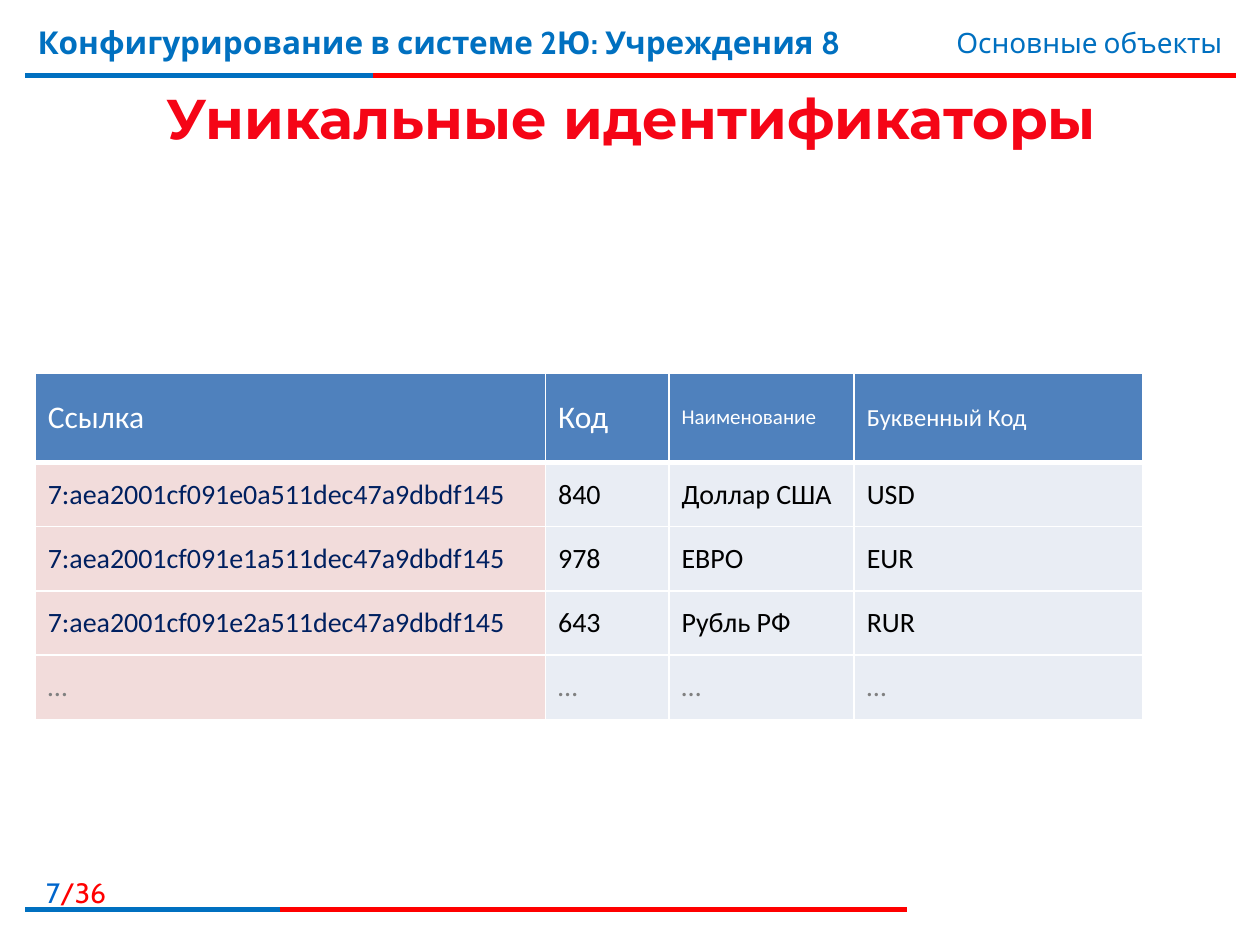
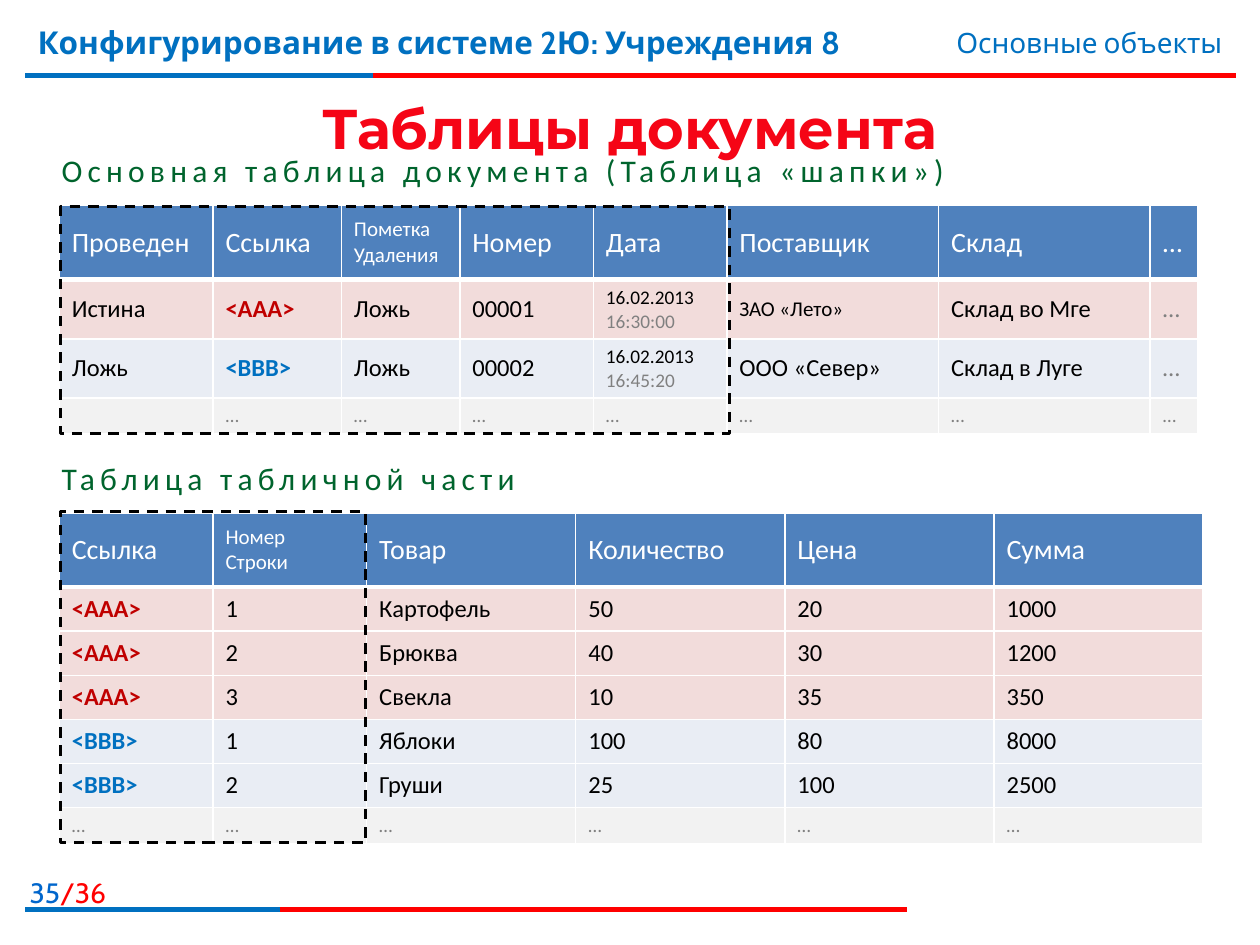
from dataclasses import dataclass

from lxml import etree
from pptx import Presentation
from pptx import util as u
from pptx.dml.color import RGBColor
from pptx.enum import dml, shapes, text
from pptx.oxml.ns import qn


@dataclass(frozen=True)
class Theme:
    """Colours, fonts and type sizes shared by the slides."""
    red: str = "FF0000"
    blue: str = "0070C0"
    number: str = "0066CC"
    title_top: str = "F50516"
    dark_red: str = "C00000"
    green: str = "00642D"
    navy: str = "002060"
    black: str = "000000"
    white: str = "FFFFFF"
    grey: str = "808080"
    header: str = "4F81BD"
    pink: str = "F2DCDB"
    pale_blue: str = "E9EDF4"
    pale_grey: str = "F2F2F2"
    band_font: str = "Cabin"
    title_font: str = "Montserrat"
    body_font: str = "Calibri"
    title: int = 32
    large: int = 18
    medium: int = 16
    normal: int = 14
    small: int = 12
    tiny: int = 11


THEME = Theme()
PAGE_COUNT = 36
ALIGN = text.PP_ALIGN


def inches(box):
    """Turn a box in inches into lengths."""
    return [u.Inches(value) for value in box]


def add_span(para, words, size, colour, name, bold=False):
    """Add one formatted run; a line feed becomes a line break."""
    for index, line in enumerate(words.split("\n")):
        if index:
            para.add_line_break()
        span = para.add_run()
        span.text = line
        look = {"size": u.Pt(size), "name": name, "bold": bold}
        for key, value in look.items():
            setattr(span.font, key, value)
        span.font.color.rgb = RGBColor.from_string(colour)
    return span


def add_text(page, box, spans, align=ALIGN.LEFT, **frame_look):
    """Add a one-paragraph text box and return its last run."""
    frame = page.shapes.add_textbox(*inches(box)).text_frame
    for key, value in {"word_wrap": True, **frame_look}.items():
        setattr(frame, key, value)
    para = frame.paragraphs[0]
    para.alignment = align
    for look in spans:
        span = add_span(para, *look)
    return span


def add_rule(page, left, top, width, blue_width):
    """Draw a red rule whose left part is blue."""
    for length, colour in ((width, THEME.red), (blue_width, THEME.blue)):
        line = page.shapes.add_connector(
            shapes.MSO_CONNECTOR.STRAIGHT,
            *inches((left, top, left + length, top)))
        line.line.color.rgb = RGBColor.from_string(colour)
        line.line.width = u.Pt(3)
        etree.SubElement(line._element.spPr, qn("a:effectLst"))


def add_bands(page, number):
    """Place the running header, page number and both rules."""
    add_rule(page, 0.2, 0.6, 9.61, 2.76)
    add_text(page, (-0.1, 6.9, 1.04, 0.32),
             [(str(number), THEME.medium, THEME.number, THEME.band_font),
              (f"/{PAGE_COUNT}", THEME.medium, THEME.red, THEME.band_font)],
             ALIGN.RIGHT)
    add_rule(page, 0.2, 7.22, 7, 2.02)
    add_text(page, (0.2, 0.13, 7.4, 0.62),
             [("Конфигурирование в системе 2Ю: Учреждения 8", THEME.large,
               THEME.blue, THEME.band_font, True)])
    add_text(page, (5.94, 0.15, 3.86, 0.37),
             [("Основные объекты", THEME.medium, THEME.blue,
               THEME.band_font)], ALIGN.RIGHT)


def add_title(page, box, words):
    """Place the centred title with a gradient fill and thin outline."""
    span = add_text(page, box, [(words, THEME.title, THEME.title_top,
                                 THEME.title_font, True)],
                    ALIGN.CENTER, vertical_anchor=text.MSO_ANCHOR.MIDDLE)
    fill = span.font.fill
    fill.gradient()
    fill.gradient_angle = 270
    stops = ((0.55, THEME.title_top), (0.86, THEME.dark_red))
    for stop, (position, colour) in zip(fill.gradient_stops, stops):
        stop.position = position
        stop.color.rgb = RGBColor.from_string(colour)
    outline = make_line("a:ln", 0.75)
    span.font._element.insert(0, outline)


def make_line(tag, points):
    """Return a white line element of the given width."""
    line = etree.Element(qn(tag), w=str(int(u.Pt(points))))
    solid = etree.SubElement(line, qn("a:solidFill"))
    etree.SubElement(solid, qn("a:srgbClr"), val=THEME.white)
    return line


def add_caption(page, box, words):
    """Place a green, widely spaced table caption."""
    span = add_text(page, box, [(words, THEME.large, THEME.green,
                                 THEME.body_font)], word_wrap=False,
                    auto_size=text.MSO_AUTO_SIZE.SHAPE_TO_FIT_TEXT)
    span.font._element.set("spc", "300")


def fill_cell(cell, words, fill, size, colour, heading):
    """Write a cell, given as text or runs, with its fill and borders."""
    cell.fill.solid()
    cell.fill.fore_color.rgb = RGBColor.from_string(fill)
    cell.vertical_anchor = text.MSO_ANCHOR.MIDDLE
    sides = {"a:lnL": 1, "a:lnR": 1, "a:lnT": 1, "a:lnB": 3 if heading else 1}
    for index, (tag, width) in enumerate(sides.items()):
        cell._tc.get_or_add_tcPr().insert(index, make_line(tag, width))
    para = cell.text_frame.paragraphs[0]
    if not words:
        etree.SubElement(para._p, qn("a:endParaRPr"), sz=str(size * 100))
        return
    marks = {"<AAA>": THEME.dark_red, "<BBB>": THEME.blue}
    spans = [(words, colour)] if isinstance(words, str) else words
    for part, shade in spans:
        if part == "…" and not heading:
            shade = THEME.grey
        add_span(para, part, size, marks.get(part, shade), THEME.body_font,
                 part in marks)


def add_grid(page, box, columns, heights, rows, fills, sizes,
             special=None, first=None):
    """Place a table; special maps (row, column) to a type size, and
    first gives the fill and colour of the first body column."""
    grid = page.shapes.add_table(len(rows), len(columns), *inches(box)).table
    for flag in ("first_row", "horz_banding"):
        setattr(grid, flag, False)
    for column, width in zip(grid.columns, columns):
        column.width = u.Inches(width)
    for row, height in zip(grid.rows, heights):
        row.height = u.Inches(height)
    for r, row in enumerate(rows):
        for c, words in enumerate(row):
            fill, colour = fills[r], THEME.black if r else THEME.white
            if first and r and c == 0:
                fill, colour = first
            size = (special or {}).get((r, c), sizes[r])
            fill_cell(grid.cell(r, c), words, fill, size, colour, r == 0)


def add_key_frame(page, box):
    """Draw a dashed frame around the built-in columns."""
    frame = page.shapes.add_shape(shapes.MSO_SHAPE.RECTANGLE, *inches(box))
    frame.shadow.inherit = False
    frame.fill.background()
    frame.line.color.rgb = RGBColor.from_string(THEME.black)
    frame.line.width = u.Pt(1.5)
    frame.line.dash_style = dml.MSO_LINE.DASH


def moment(time):
    """Return the runs of a date with a grey time."""
    return [("16.02.2013 ", THEME.black), (time, THEME.grey)]


def build_identifiers(page):
    """Build the slide on unique identifiers."""
    add_bands(page, 7)
    add_title(page, (0.21, 0.63, 9.61, 0.6), "Уникальные идентификаторы")
    currencies = [("840", "Доллар США", "USD"), ("978", "ЕВРО", "EUR"),
                  ("643", "Рубль РФ", "RUR")]
    rows = [("Ссылка", "Код", "Наименование", "Буквенный Код")]
    rows += [(f"7:aea2001cf091e{index}a511dec47a9dbdf145", *currency)
             for index, currency in enumerate(currencies)]
    rows.append(["…"] * 4)
    add_grid(page, (0.28, 2.96, 8.79, 2.76), (4.05, 0.98, 1.47, 2.29),
             [0.71] + [0.51] * 4, rows,
             [THEME.header] + [THEME.pale_blue] * 4,
             [THEME.large] + [THEME.medium] * 4,
             {(0, 2): THEME.small, (0, 3): THEME.normal},
             (THEME.pink, THEME.navy))


def build_document_tables(page):
    """Build the slide on the two tables of a document."""
    add_bands(page, 35)
    add_title(page, (0.2, 0.58, 9.61, 0.86), "Таблицы документа")
    add_caption(page, (0.39, 1.15, 7.33, 0.4),
                "Основная таблица документа (Таблица «шапки»)")
    main_rows = [
        ("Проведен", "Ссылка", "Пометка\nУдаления", "Номер", "Дата",
         "Поставщик", "Склад", "…"),
        ("Истина", "<AAA>", "Ложь", "00001", moment("16:30:00"),
         "ЗАО «Лето»", "Склад во Мге", "…"),
        ("Ложь", "<BBB>", "Ложь", "00002", moment("16:45:20"),
         "ООО «Север»", "Склад в Луге", "…"),
        [""] + ["…"] * 7]
    add_grid(page, (0.47, 1.63, 9.06, 1.82),
             (1.22, 1.02, 0.94, 1.06, 1.06, 1.68, 1.68, 0.38),
             (0.59, 0.47, 0.47, 0.24), main_rows,
             (THEME.header, THEME.pink, THEME.pale_blue, THEME.pale_grey),
             (THEME.medium, THEME.normal, THEME.normal, THEME.tiny),
             {(0, 2): THEME.small, (1, 4): THEME.tiny, (2, 4): THEME.tiny,
              (1, 5): THEME.small})
    add_caption(page, (0.39, 3.59, 3.88, 0.4), "Таблица табличной части")
    part_rows = [
        ("Ссылка", "Номер\nСтроки", "Товар", "Количество", "Цена", "Сумма"),
        ("<AAA>", "1", "Картофель", "50", "20", "1000"),
        ("<AAA>", "2", "Брюква", "40", "30", "1200"),
        ("<AAA>", "3", "Свекла", "10", "35", "350"),
        ("<BBB>", "1", "Яблоки", "100", "80", "8000"),
        ("<BBB>", "2", "Груши", "25", "100", "2500"),
        ["…"] * 6]
    add_grid(page, (0.47, 4.07, 9.06, 2.65), [1.22] * 2 + [1.66] * 4,
             [0.59] + [0.35] * 5 + [0.28], part_rows,
             [THEME.header] + [THEME.pink] * 3 + [THEME.pale_blue] * 2
             + [THEME.pale_grey],
             [THEME.medium] + [THEME.normal] * 5 + [THEME.tiny],
             {(0, 1): THEME.small})
    add_key_frame(page, (0.48, 1.64, 5.31, 1.8))
    add_key_frame(page, (0.48, 4.06, 2.42, 2.63))


def main():
    """Build and save the deck."""
    deck = Presentation()
    deck.slide_width, deck.slide_height = inches((10, 7.5))
    for build in (build_identifiers, build_document_tables):
        build(deck.slides.add_slide(deck.slide_layouts[6]))
    deck.save("out.pptx")


main()
